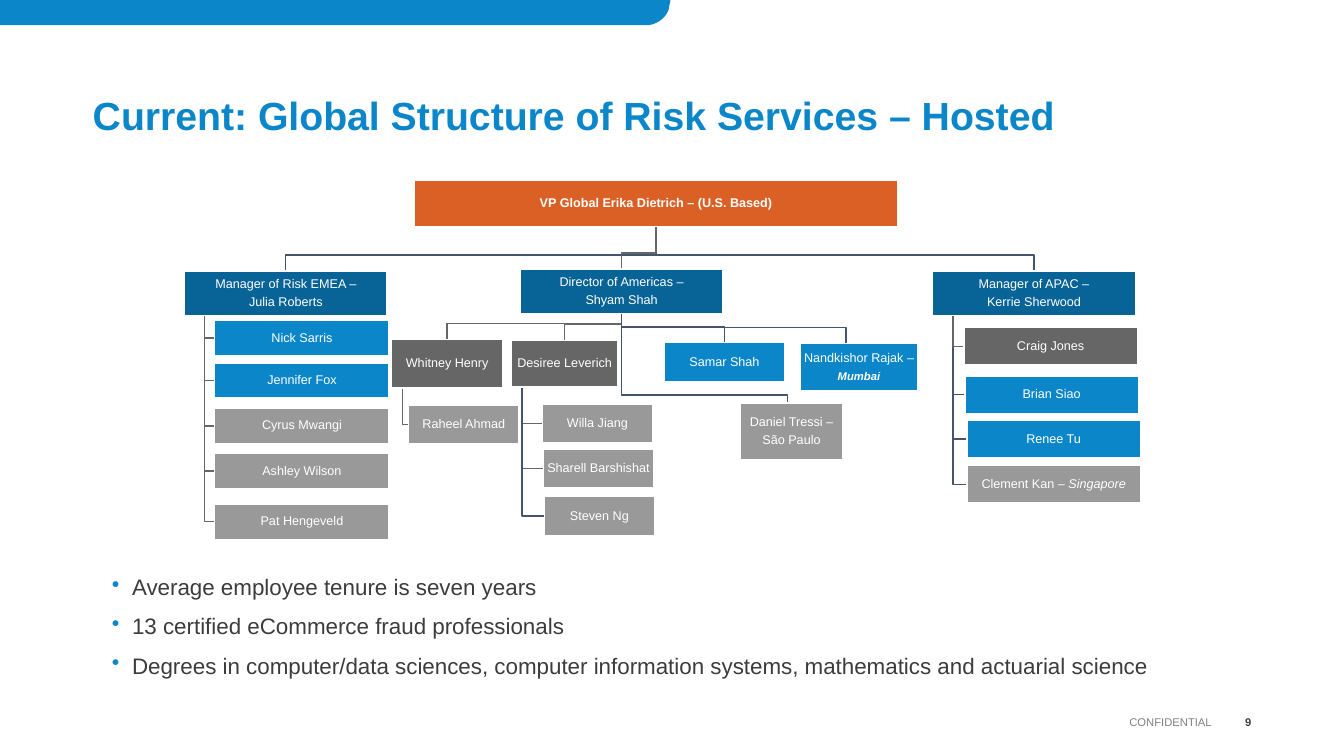
from pptx import Presentation
from pptx.dml.color import RGBColor as RGB
from pptx.enum.shapes import MSO_SHAPE as Shape
from pptx.enum.text import MSO_ANCHOR as Anchor, PP_ALIGN as Align
from pptx.oxml import parse_xml
from pptx.oxml.ns import nsdecls
from pptx.util import Inches, Pt

WHITE = RGB(0xFF, 0xFF, 0xFF)
BLUE = RGB(0x0A, 0x86, 0xC9)
DEEP = RGB(0x08, 0x64, 0x97)
ORANGE = RGB(0xDB, 0x60, 0x26)
DARK = RGB(0x66, 0x66, 0x66)
GRAY = RGB(0x99, 0x99, 0x99)
NAVY = RGB(0x44, 0x54, 0x6A)
BODY = RGB(0x3C, 0x3C, 0x3C)
FOOT = RGB(0x80, 0x80, 0x80)
PAGE = RGB(0x40, 0x40, 0x40)

# Staff: name -> left, top, width, height, fill, lines
# A line is a string or a list of (text, format) runs
STAFF = {
    "vp": (4.11, 1.79, 4.79, 0.46, ORANGE,
           [[("VP Global Erika Dietrich – (U.S. Based)", {"bold": True})]]),
    "emea": (1.83, 2.69, 2.01, 0.44, DEEP, ["Manager of Risk EMEA –", "Julia Roberts"]),
    "americas": (5.16, 2.67, 2.01, 0.44, DEEP, ["Director of Americas –", "Shyam Shah"]),
    "apac": (9.25, 2.69, 2.01, 0.44, DEEP, ["Manager of APAC –", "Kerrie Sherwood"]),
    "nick": (2.13, 3.18, 1.73, 0.35, BLUE, ["Nick Sarris"]),
    "jennifer": (2.13, 3.6, 1.73, 0.35, BLUE, ["Jennifer Fox"]),
    "cyrus": (2.13, 4.05, 1.73, 0.35, GRAY, ["Cyrus Mwangi"]),
    "ashley": (2.13, 4.5, 1.73, 0.35, GRAY, ["Ashley Wilson"]),
    "pat": (2.13, 5, 1.73, 0.35, GRAY, ["Pat Hengeveld"]),
    "whitney": (3.88, 3.37, 1.11, 0.48, DARK, ["Whitney Henry"]),
    "raheel": (4.05, 4.02, 1.1, 0.38, GRAY, ["Raheel Ahmad"]),
    "desiree": (5.07, 3.38, 1.06, 0.46, DARK, ["Desiree Leverich"]),
    "willa": (5.38, 4.01, 1.09, 0.38, GRAY, ["Willa Jiang"]),
    "sharell": (5.39, 4.46, 1.09, 0.38, GRAY, ["Sharell Barshishat"]),
    "steven": (5.4, 4.92, 1.09, 0.4, GRAY, ["Steven Ng"]),
    "samar": (6.59, 3.4, 1.19, 0.39, BLUE, ["Samar Shah"]),
    "nandkishor": (7.94, 3.41, 1.16, 0.47, BLUE,
                   ["Nandkishor Rajak –",
                    [("Mumbai", {"size": 8, "bold": True, "italic": True})]]),
    "daniel": (7.34, 4, 1.02, 0.56, GRAY, ["Daniel Tressi –", "São Paulo"]),
    "craig": (9.56, 3.25, 1.72, 0.37, DARK, ["Craig Jones"]),
    "brian": (9.57, 3.73, 1.72, 0.37, BLUE, ["Brian Siao"]),
    "renee": (9.59, 4.17, 1.72, 0.37, BLUE, ["Renee Tu"]),
    "clement": (9.59, 4.62, 1.72, 0.37, GRAY,
                [[("Clement Kan – ", {}), ("Singapore", {"italic": True})]]),
}

# Links from a boss's bottom middle to the top of each report
DROPS = [
    ("vp", "apac emea", NAVY),
    ("americas", "whitney desiree", DARK),
    ("americas", "samar nandkishor daniel", NAVY),
    ("vp", "americas", DARK),
]
# Links from a trunk below the boss to the left of each report
HANGS = [
    ("apac", "brian renee clement", NAVY),
    ("apac", "craig", DARK),
    ("desiree", "willa sharell", DARK),
    ("desiree", "steven", NAVY),
    ("whitney", "raheel", DARK),
    ("emea", "nick jennifer cyrus ashley pat", DARK),
]
# Links that land off the middle of the box
LAND = {"nandkishor": 8.39, "daniel": 7.81}
BEND = 0.16


def write(frame, lines, size=9, color=WHITE, bold=False, align=Align.LEFT,
          anchor=Anchor.TOP, inset=0, after=0, pitch=1.0, bullet=False):
    frame.word_wrap = True
    frame.vertical_anchor = anchor
    frame.margin_left = frame.margin_right = Inches(inset)
    frame.margin_top = frame.margin_bottom = Inches(inset)
    for i, line in enumerate(lines):
        para = frame.paragraphs[0] if i == 0 else frame.add_paragraph()
        para.alignment = align
        para.line_spacing = pitch
        para.space_after = Pt(after)
        if bullet:
            props = para._p.get_or_add_pPr()
            props.set("marL", str(Inches(0.2)))
            props.set("indent", str(-Inches(0.2)))
            ns = nsdecls("a")
            props.append(parse_xml(
                f'<a:buClr {ns}><a:srgbClr val="{BLUE}"/></a:buClr>'))
            props.append(parse_xml(f'<a:buChar {ns} char="•"/>'))
        for text, look in [(line, {})] if isinstance(line, str) else line:
            run = para.add_run()
            run.text = text
            font = run.font
            font.name = "Arial"
            font.size = Pt(look.get("size", size))
            font.bold = look.get("bold", bold)
            font.italic = look.get("italic", False)
            font.color.rgb = color


class Chart:
    def __init__(self, slide):
        self.shapes = slide.shapes

    def trace(self, points, close=False):
        first, *rest = [(Inches(x), Inches(y)) for x, y in points]
        pen = self.shapes.build_freeform(*first)
        pen.add_line_segments(rest, close=close)
        form = pen.convert_to_shape()
        form.shadow.inherit = False
        return form

    def area(self, points, fill):
        form = self.trace(points, close=True)
        form.fill.solid()
        form.fill.fore_color.rgb = fill
        form.line.fill.background()

    def wire(self, points, ink):
        form = self.trace(points)
        form.fill.background()
        form.line.color.rgb = ink
        form.line.width = Pt(1)

    def drop(self, boss, kid, ink):
        x, y, w, h = STAFF[boss][:4]
        left, top, wide = STAFF[kid][:3]
        mid, end = x + w / 2, LAND.get(kid, left + wide / 2)
        bend = top - (0.08 if kid == "daniel" else BEND)
        self.wire([(mid, y + h), (mid, bend), (end, bend), (end, top)], ink)

    def hang(self, boss, kid, ink):
        x, y, w, h = STAFF[boss][:4]
        left, top, _, high = STAFF[kid][:4]
        trunk, mid = x + w / 10, top + high / 2
        self.wire([(trunk, y + h), (trunk, mid), (left, mid)], ink)

    def box(self, x, y, w, h, fill, lines):
        rect = self.shapes.add_shape(
            Shape.RECTANGLE, Inches(x), Inches(y), Inches(w), Inches(h))
        rect.shadow.inherit = False
        rect.fill.solid()
        rect.fill.fore_color.rgb = fill
        rect.line.color.rgb = WHITE
        rect.line.width = Pt(1)
        write(rect.text_frame, lines, align=Align.CENTER,
              anchor=Anchor.MIDDLE, inset=0.01, after=3.6, pitch=0.9)

    def label(self, x, y, w, h, lines, **look):
        area = self.shapes.add_textbox(Inches(x), Inches(y), Inches(w), Inches(h))
        write(area.text_frame, lines, **look)


def curve(a, b, c, d, steps=12):
    for i in range(steps + 1):
        t = i / steps
        u = 1 - t
        yield tuple(u**3 * p + 3 * u * u * t * q + 3 * u * t * t * r + t**3 * s
                    for p, q, r, s in zip(a, b, c, d))


def main():
    deck = Presentation()
    deck.slide_width, deck.slide_height = Inches(13.33), Inches(7.5)
    chart = Chart(deck.slides.add_slide(deck.slide_layouts[6]))

    # Banner with a rounded corner
    bend = curve((6.63, 0.1), (6.6, 0.18), (6.51, 0.25), (6.41, 0.25))
    chart.area([(0, 0), (6.65, 0), *bend, (0, 0.25)], BLUE)

    # Links first, so the boxes lie over them
    for links, draw in ((HANGS, chart.hang), (DROPS, chart.drop)):
        for boss, kids, ink in links:
            for kid in kids.split():
                draw(boss, kid, ink)
    for card in STAFF.values():
        chart.box(*card)

    # Title and bullets
    chart.label(0.92, 0.79, 11.5, 0.59,
                ["Current: Global Structure of Risk Services – Hosted"],
                size=28, color=BLUE, bold=True, anchor=Anchor.BOTTOM, pitch=0.9)
    chart.label(1.11, 5.69, 11.6, 1.07, [
        "Average employee tenure is seven years",
        "13 certified eCommerce fraud professionals",
        "Degrees in computer/data sciences, computer information systems, "
        "mathematics and actuarial science",
    ], size=16, color=BODY, after=8.7, bullet=True)

    # Footer
    foot = {"size": 8, "align": Align.RIGHT, "anchor": Anchor.MIDDLE}
    chart.label(4.78, 7.06, 7.24, 0.2, ["CONFIDENTIAL"], color=FOOT, **foot)
    chart.label(12.02, 7.06, 0.39, 0.2, ["9"], color=PAGE, bold=True, **foot)

    deck.save("out.pptx")


if __name__ == "__main__":
    main()
